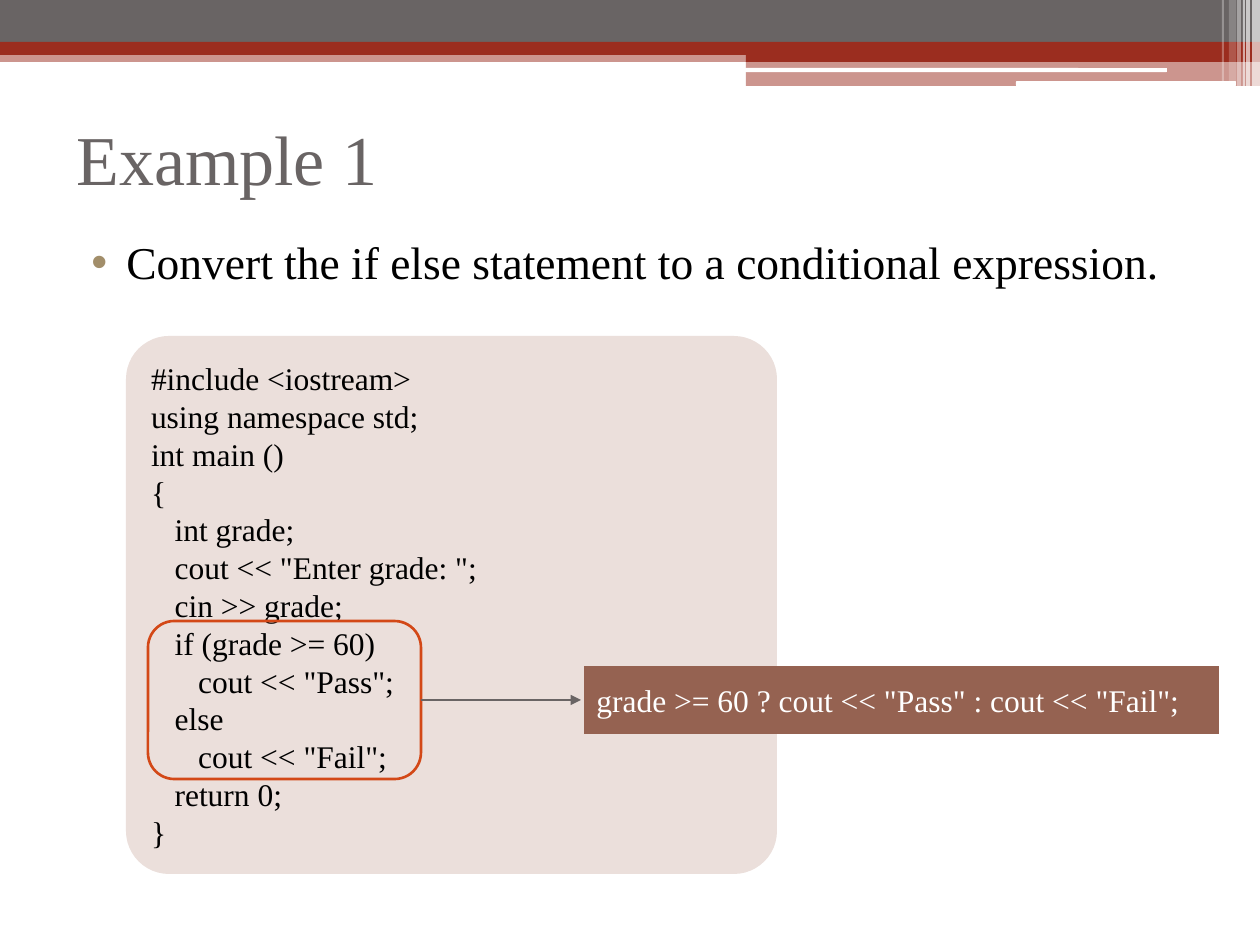
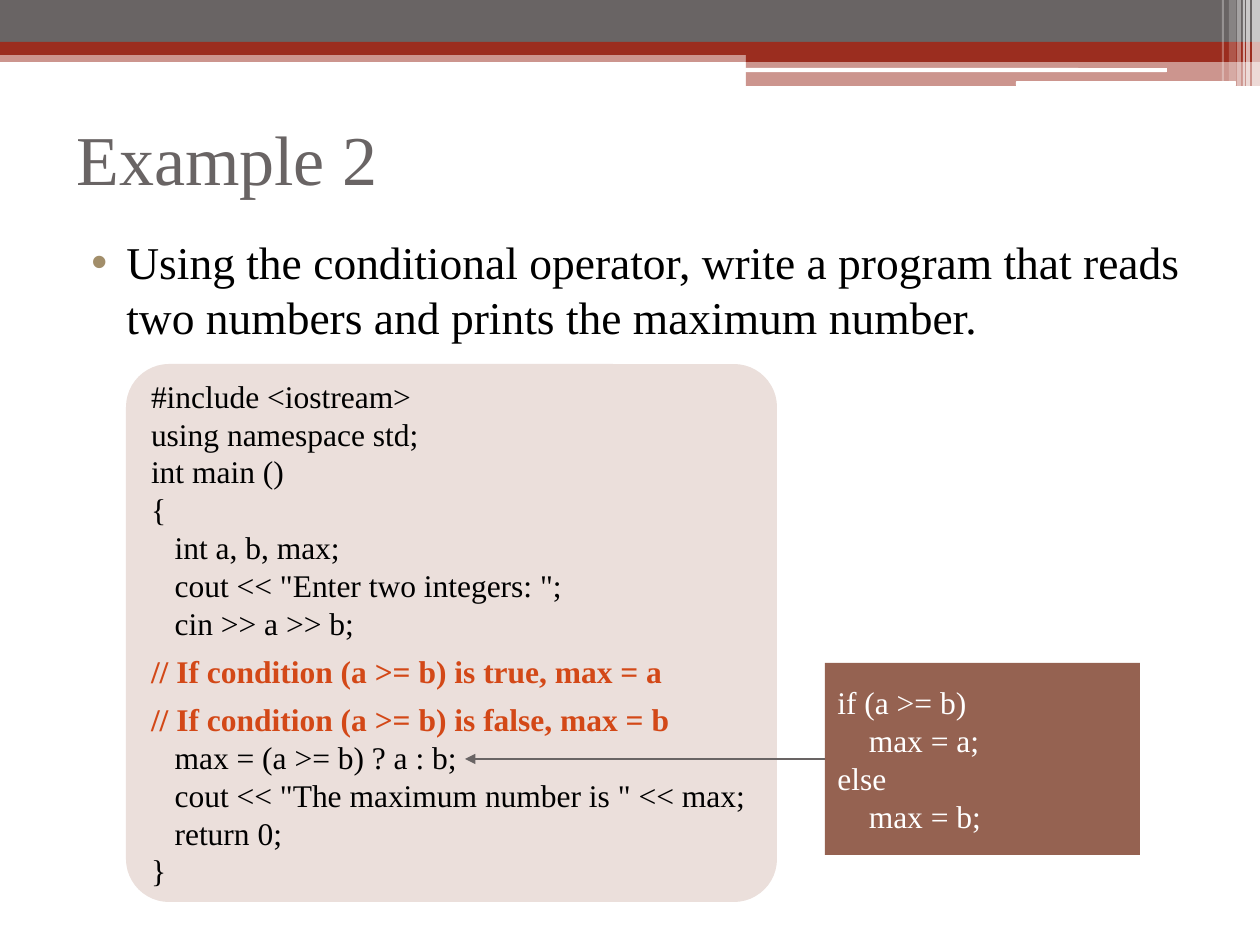
from pptx import Presentation
from pptx.dml.color import RGBColor
from pptx.enum.shapes import MSO_CONNECTOR, MSO_SHAPE
from pptx.enum.text import MSO_ANCHOR, PP_ALIGN
from pptx.oxml.ns import qn
from pptx.util import Emu, Pt
from lxml.etree import SubElement

PIXEL = 914400 / 126
FONT = "Times New Roman"
GREY, RED, WHITE, BLACK = "696464", "9B2D1F", "FFFFFF", "000000"
ORANGE, BROWN, PALE, TAN = "D34817", "956251", "EBDFDB", "A28E6A"

BANDS = [
    (0, 50, 1260, 12, RED, 50),
    (0, 0, 1260, 43, GREY, 100),
    (0, 42, 1260, 13, RED, 100),
    (746, 49, 514, 13, RED, 100),
    (746, 61, 514, 25, RED, 50),
]
RULES = [(745, 68, 422, 4), (1016, 81, 220, 5)]
STRIPES = [
    (1252, 8, 86, 65),
    (1246, 4, 86, 65),
    (1243, 2, 86, 60),
    (1237, 4, 86, 40),
    (1229, 7, 81, 20),
    (1222, 2, 81, 30),
]

GRADE_CODE = [[
    "#include <iostream>",
    "using namespace std;",
    "int main ()",
    "{",
    "   int grade;",
    '   cout << "Enter grade: ";',
    "   cin >> grade;",
    "   if (grade >= 60)",
    '      cout << "Pass";',
    "   else",
    '      cout << "Fail";',
    "   return 0;",
    "}",
]]
MAXIMUM_CODE = [
    [
        "#include <iostream>",
        "using namespace std;",
        "int main ()",
        "{",
        "   int a, b, max;",
        '   cout << "Enter two integers: ";',
        "   cin >> a >> b;",
    ],
    ["// If condition (a >= b) is true, max = a"],
    [
        "// If condition (a >= b) is false, max = b",
        "   max = (a >= b) ? a : b;",
        '   cout << "The maximum number is " << max;',
        "   return 0;",
        "}",
    ],
]
GRADE_EXPRESSION = [['grade >= 60 ? cout << "Pass" : cout << "Fail";']]
MAXIMUM_STATEMENT = [["if (a >= b)"], ["    max = a;"], ["else"], ["    max = b;"]]


def px(length):
    """Turn pixels into EMU."""
    return Emu(round(length * PIXEL))


def color(value):
    """Turn a hex string into a colour."""
    return RGBColor.from_string(value)


def add_text(paragraph, text, size, text_color, bold=False):
    """Add one formatted run."""
    run = paragraph.add_run()
    run.text = text
    run.font.name = FONT
    run.font.size = Pt(size)
    run.font.bold = bold
    run.font.color.rgb = color(text_color)


def add_block(slide, box, fill=None, opacity=100, kind=MSO_SHAPE.RECTANGLE, corner=None):
    """Add a shape without line or shadow."""
    shape = slide.shapes.add_shape(kind, *map(px, box))
    shape.shadow.inherit = False
    shape.line.fill.background()
    if corner is not None:
        shape.adjustments[0] = corner
    if fill is None:
        shape.fill.background()
        return shape
    shape.fill.solid()
    shape.fill.fore_color.rgb = color(fill)
    if opacity < 100:
        fill_color = next(shape.element.iter(qn("a:srgbClr")))
        SubElement(fill_color, qn("a:alpha"), val=str(opacity * 1000))
    return shape


def add_header(slide):
    """Build the header on the layout that the slide uses."""
    layout = slide.slide_layout
    for placeholder in list(layout.placeholders)[1:]:
        placeholder.element.getparent().remove(placeholder.element)
    shapes = [add_block(slide, box, fill, opacity) for *box, fill, opacity in BANDS]
    shapes += [
        add_block(slide, box, WHITE, kind=MSO_SHAPE.ROUNDED_RECTANGLE, corner=0.17)
        for box in RULES
    ]
    shapes += [
        add_block(slide, (left, 0, width, height), WHITE, opacity)
        for left, width, height, opacity in STRIPES
    ]
    layout_tree = layout.placeholders[0].element.getparent()
    for shape in shapes:
        layout_tree.append(shape.element)


def add_title(slide, text):
    """Place and format the title."""
    title = slide.shapes.title
    title.left, title.top, title.width, title.height = map(px, (64, 84, 1134, 147))
    title.text_frame.vertical_anchor = MSO_ANCHOR.MIDDLE
    paragraph = title.text_frame.paragraphs[0]
    paragraph.alignment = PP_ALIGN.LEFT
    add_text(paragraph, text, 40, GREY)


def add_task(slide, text):
    """Add the bulleted task."""
    box = slide.shapes.add_textbox(*map(px, (63, 228, 1134, 120)))
    box.text_frame.word_wrap = True
    paragraph = box.text_frame.paragraphs[0]
    properties = paragraph._p.get_or_add_pPr()
    properties.set("marL", str(px(51)))
    properties.set("indent", str(px(-35)))
    bullet_color = SubElement(properties, qn("a:buClr"))
    SubElement(bullet_color, qn("a:srgbClr"), val=TAN)
    SubElement(properties, qn("a:buFont"), typeface="Arial")
    SubElement(properties, qn("a:buChar"), char="•")
    add_text(paragraph, text, 26, BLACK)


def write_code(shape, paragraphs, text_color, space=0):
    """Write code into a shape, with comments highlighted."""
    frame = shape.text_frame
    frame.word_wrap = True
    frame.vertical_anchor = MSO_ANCHOR.MIDDLE
    for index, lines in enumerate(paragraphs):
        paragraph = frame.add_paragraph() if index else frame.paragraphs[0]
        paragraph.alignment = PP_ALIGN.LEFT
        if index:
            paragraph.space_before = Pt(space)
        for number, line in enumerate(lines):
            if number:
                paragraph.add_line_break()
            comment = line.startswith("//")
            add_text(paragraph, line, 18, ORANGE if comment else text_color, comment)


def add_program(slide, top, paragraphs):
    """Add the rounded panel with a program."""
    panel = add_block(slide, (126, top, 651, 538), PALE,
                      kind=MSO_SHAPE.ROUNDED_RECTANGLE, corner=0.08)
    write_code(panel, paragraphs, BLACK, 6)


def add_callout(slide, box, paragraphs):
    """Add the brown box with the equivalent code."""
    write_code(add_block(slide, box, BROWN), paragraphs, WHITE)


def add_highlight(slide, box):
    """Add a rounded outline around some lines."""
    outline = add_block(slide, box, kind=MSO_SHAPE.ROUNDED_RECTANGLE)
    outline.line.color.rgb = color(ORANGE)
    outline.line.width = Pt(1.5)


def add_arrow(slide, start, end, y):
    """Add a horizontal arrow."""
    arrow = slide.shapes.add_connector(MSO_CONNECTOR.STRAIGHT, *map(px, (start, y, end, y)))
    arrow.line.color.rgb = color(GREY)
    arrow.line.width = Pt(0.75)
    SubElement(arrow.line._get_or_add_ln(), qn("a:tailEnd"), type="triangle")
    SubElement(arrow.element.spPr, qn("a:effectLst"))


def add_example(presentation, title, task, top, program):
    """Add a slide with its title, task and program."""
    slide = presentation.slides.add_slide(presentation.slide_layouts[5])
    add_title(slide, title)
    add_task(slide, task)
    add_program(slide, top, program)
    return slide


def main():
    """Build and save the presentation."""
    presentation = Presentation()
    presentation.slide_width, presentation.slide_height = px(1260), px(945)

    slide = add_example(presentation, "Example 1",
                        "Convert the if else statement to a conditional expression.",
                        336, GRADE_CODE)
    add_header(slide)
    add_callout(slide, (584, 666, 635, 68), GRADE_EXPRESSION)
    add_highlight(slide, (148, 621, 273, 158))
    add_arrow(slide, 421, 581, 700)

    slide = add_example(presentation, "Example 2",
                        "Using the conditional operator, write a program that reads "
                        "two numbers and prints the maximum number.",
                        364, MAXIMUM_CODE)
    add_callout(slide, (825, 663, 315, 192), MAXIMUM_STATEMENT)
    add_arrow(slide, 825, 465, 759)

    presentation.save("out.pptx")


if __name__ == "__main__":
    main()
